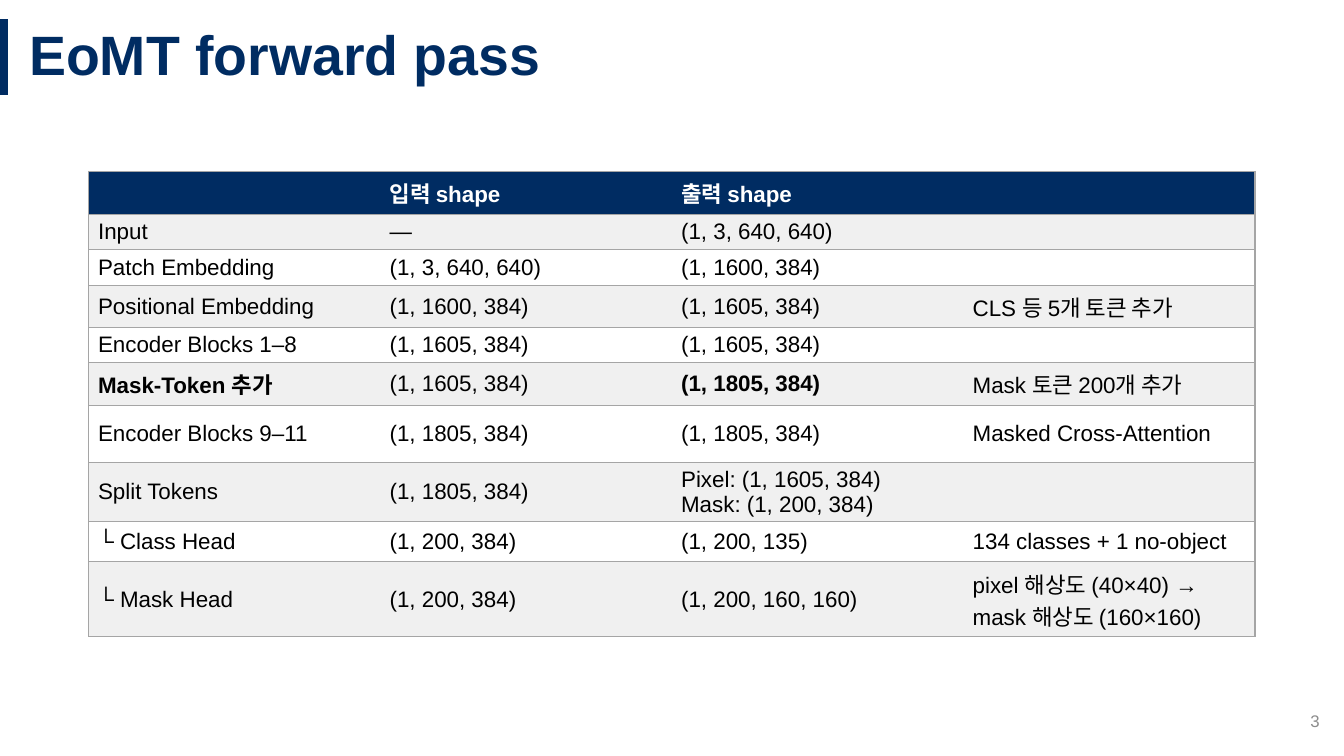
from dataclasses import dataclass
from typing import Any

from lxml.etree import SubElement
from pptx import Presentation
from pptx.dml.color import RGBColor
from pptx.enum.shapes import MSO_CONNECTOR
from pptx.enum.text import MSO_ANCHOR, MSO_AUTO_SIZE, PP_ALIGN
from pptx.oxml import parse_xml
from pptx.oxml.ns import nsdecls, qn
from pptx.util import Pt

NAVY = RGBColor(0x00, 0x2C, 0x62)
WHITE = RGBColor(0xFF, 0xFF, 0xFF)
BLACK = RGBColor(0x00, 0x00, 0x00)
BAND = RGBColor(0xF0, 0xF0, 0xF0)
RULE = RGBColor(0xA5, 0xA5, 0xA5)
GRAY = RGBColor(0x8C, 0x8C, 0x8C)

FACE = "Arial"
PLAIN = "{2D5ABB26-0587-4C30-8999-92F81FD0307C}"  # table style without grid
LEFT, TOP, WIDTH = 63.5, 122.4, 833


@dataclass(frozen=True)
class Stage:
    high: float
    cells: tuple[str, str, str, str]
    bold: tuple[int, ...] = ()


STAGES = [
    Stage(30.7, ("", "입력 shape", "출력 shape", ""), (0, 1, 2, 3)),
    Stage(25, ("Input", "—", "(1, 3, 640, 640)", "")),
    Stage(25, ("Patch Embedding", "(1, 3, 640, 640)", "(1, 1600, 384)", "")),
    Stage(30, ("Positional Embedding", "(1, 1600, 384)", "(1, 1605, 384)",
               "CLS 등 5개 토큰 추가")),
    Stage(25, ("Encoder Blocks 1–8", "(1, 1605, 384)", "(1, 1605, 384)", "")),
    Stage(30.5, ("Mask-Token 추가", "(1, 1605, 384)", "(1, 1805, 384)",
                 "Mask 토큰 200개 추가"), (0, 2)),
    Stage(40.8, ("Encoder Blocks 9–11", "(1, 1805, 384)", "(1, 1805, 384)",
                 "Masked Cross-Attention")),
    Stage(42.2, ("Split Tokens", "(1, 1805, 384)",
                 "Pixel: (1, 1605, 384)\nMask: (1, 200, 384)", "")),
    Stage(28.8, ("└ Class Head", "(1, 200, 384)", "(1, 200, 135)",
                 "134 classes + 1 no-object")),
    Stage(53.6, ("└ Mask Head", "(1, 200, 384)", "(1, 200, 160, 160)",
                 "pixel 해상도 (40×40) → mask 해상도 (160×160)")),
]


def apply(item: Any, look: dict[str, Any]) -> None:
    for name, value in look.items():
        setattr(item, name, value)


def write(frame: Any, text: str, size: float, color: RGBColor,
          bold: bool = False, **look: Any) -> None:
    """Fill a text frame, one paragraph a line."""
    for i, line in enumerate(text.split("\n")):
        para = frame.add_paragraph() if i else frame.paragraphs[0]
        apply(para, look)
        run = para.add_run()
        run.text = line
        apply(run.font, {"name": FACE, "size": Pt(size), "bold": bold})
        run.font.color.rgb = color


def edge(cell: Any, sides: str) -> None:
    """Rule the named sides of a cell and clear the others."""
    props = cell._tc.get_or_add_tcPr()
    for i, side in enumerate("LRTB"):
        paint = (f'<a:solidFill><a:srgbClr val="{RULE}"/></a:solidFill>'
                 if side in sides else "<a:noFill/>")
        props.insert(i, parse_xml(
            f'<a:ln{side} {nsdecls("a")} w="{Pt(1)}">{paint}</a:ln{side}>'))


def draw_bar(slide: Any) -> None:
    bar = slide.shapes.add_connector(
        MSO_CONNECTOR.STRAIGHT, Pt(2.9), Pt(13.7), Pt(2.9), Pt(67.7))
    bar.line.color.rgb = NAVY
    bar.line.width = Pt(6)
    SubElement(bar._element.spPr, qn("a:effectLst"))


def draw_title(slide: Any) -> None:
    title = slide.shapes.title
    apply(title, {"left": Pt(13.7), "top": Pt(14.4),
                  "width": Pt(946), "height": Pt(54)})
    apply(title.text_frame, {"vertical_anchor": MSO_ANCHOR.MIDDLE,
                             "auto_size": MSO_AUTO_SIZE.NONE})
    write(title.text_frame, "EoMT forward pass", 39.6, NAVY, True,
          alignment=PP_ALIGN.LEFT, line_spacing=0.9)


def draw_table(slide: Any) -> None:
    count = len(STAGES[0].cells)
    high = sum(stage.high for stage in STAGES)
    frame = slide.shapes.add_table(
        len(STAGES), count, Pt(LEFT), Pt(TOP), Pt(WIDTH), Pt(high))
    table = frame.table
    apply(table, {"first_row": False, "horz_banding": False})
    table._tbl.tblPr.find(qn("a:tableStyleId")).text = PLAIN
    for col in table.columns:
        col.width = Pt(WIDTH / count)

    for r, stage in enumerate(STAGES):
        table.rows[r].height = Pt(stage.high)
        fill = BAND if r % 2 else WHITE
        for c, text in enumerate(stage.cells):
            cell = table.cell(r, c)
            apply(cell, {"margin_left": Pt(6.6), "margin_right": Pt(6.6),
                         "margin_top": Pt(2.6), "margin_bottom": Pt(2.6),
                         "vertical_anchor": MSO_ANCHOR.MIDDLE})
            cell.fill.solid()
            cell.fill.fore_color.rgb = fill if r else NAVY
            edge(cell, "TB" + "L" * (c == 0) + "R" * (c == count - 1))
            write(cell.text_frame, text, 16, BLACK if r else WHITE,
                  c in stage.bold)


def draw_number(slide: Any) -> None:
    box = slide.shapes.add_textbox(Pt(733.7), Pt(500.4), Pt(216), Pt(28.8))
    apply(box.text_frame, {"word_wrap": True,
                           "vertical_anchor": MSO_ANCHOR.MIDDLE})
    write(box.text_frame, "3", 12, GRAY, alignment=PP_ALIGN.RIGHT)


def main() -> None:
    deck = Presentation()
    apply(deck, {"slide_width": Pt(960), "slide_height": Pt(540)})
    slide = deck.slides.add_slide(deck.slide_layouts[5])
    for draw in (draw_bar, draw_title, draw_table, draw_number):
        draw(slide)
    deck.save("out.pptx")


if __name__ == "__main__":
    main()
